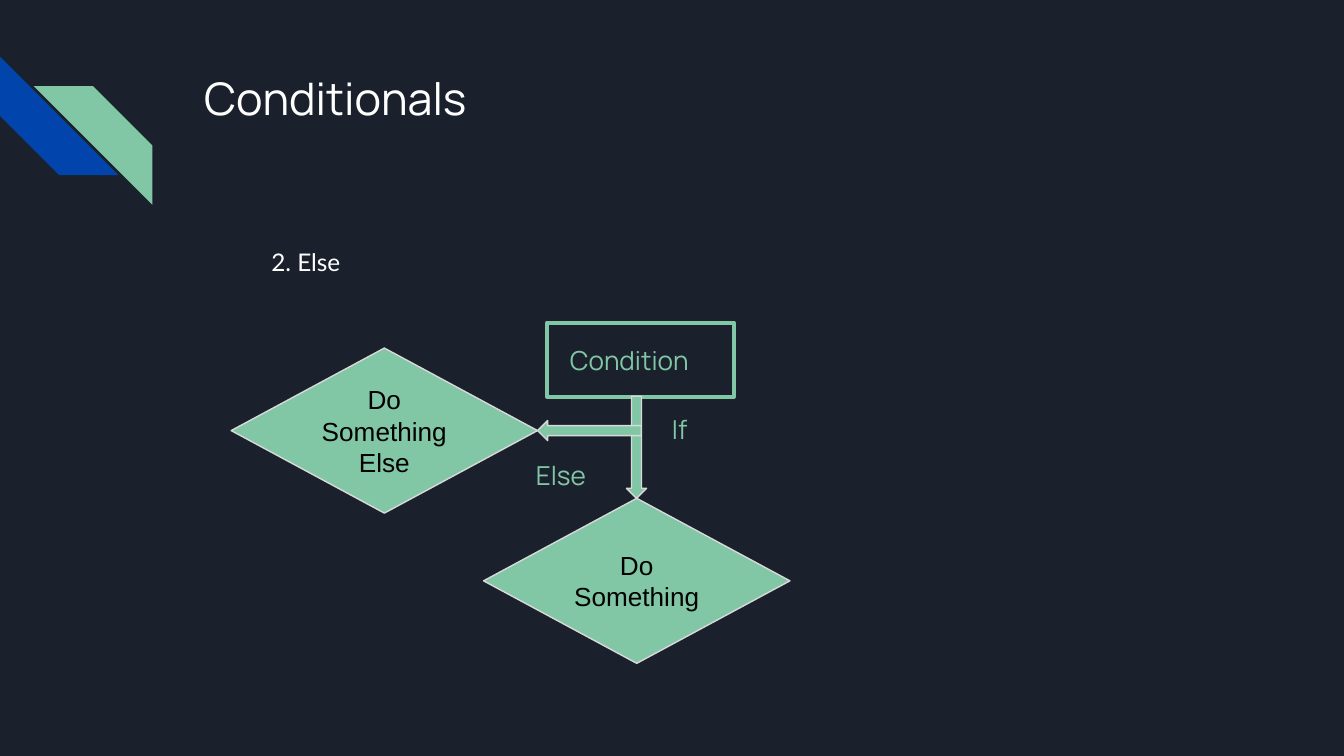
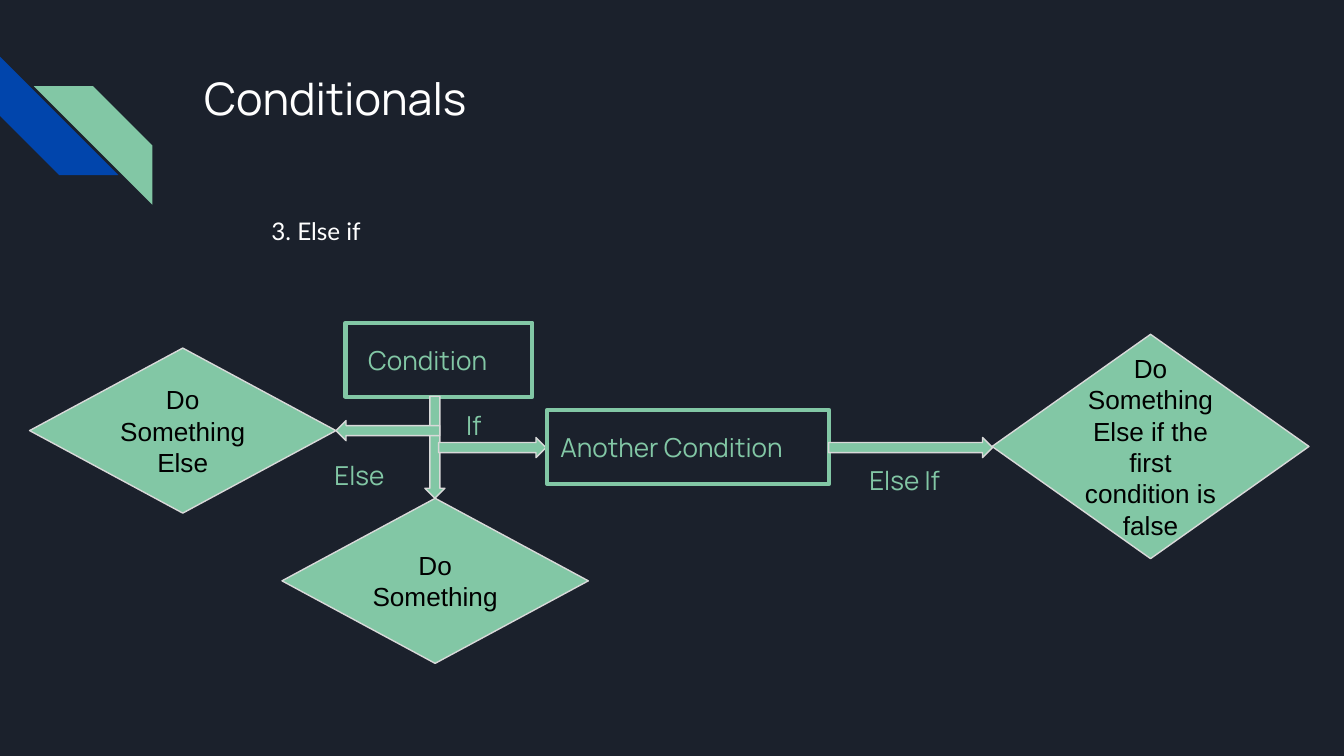
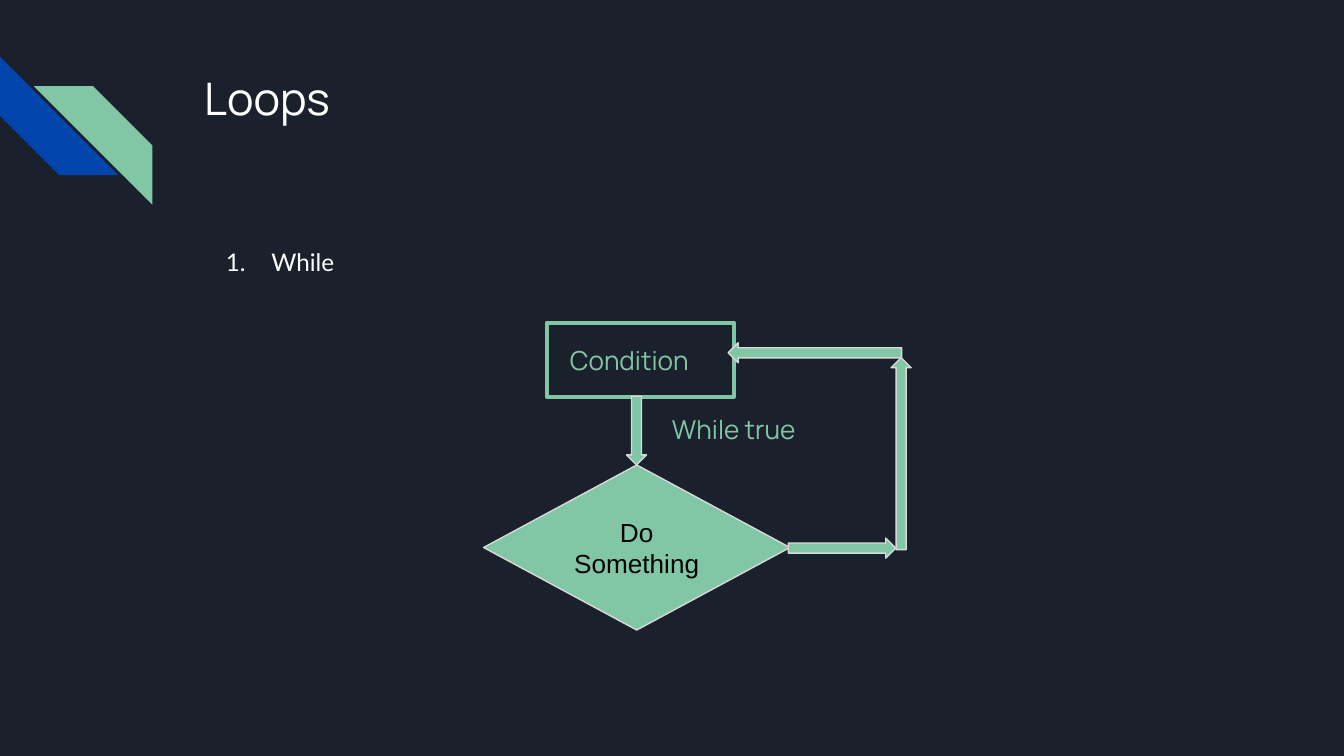
from dataclasses import dataclass

from lxml.etree import SubElement
from pptx import Presentation
from pptx.dml.color import RGBColor
from pptx.enum.shapes import MSO_SHAPE
from pptx.enum.text import MSO_ANCHOR, MSO_AUTO_SIZE, PP_ALIGN
from pptx.oxml.ns import qn
from pptx.util import Cm, Pt

NAVY = RGBColor(0x1B, 0x21, 0x2C)
BLUE = RGBColor(0x01, 0x45, 0xAC)
GREEN = RGBColor(0x82, 0xC7, 0xA5)
SILVER = RGBColor(0xD9, 0xD9, 0xD9)
WHITE = RGBColor(0xFF, 0xFF, 0xFF)
BLACK = RGBColor(0, 0, 0)

HEADING_FONT, BODY_FONT, STEP_FONT = "Manrope", "Lato", "Arial"
INSET = Cm(0.25)
ARROW_WIDTH = 0.38
STRIPE_SIDE = 2.24
BOX_HEIGHT = 1.4
LABEL_HEIGHT = 1.12
CONTENT_LEFT, CONTENT_WIDTH = 3.61, 19.56
BRANCH_SHIFT = 3.81
TURN = {"down": 0, "left": 90, "up": 180, "right": 270}
HEADING_STEP = {"down": (0, 1), "left": (-1, 0), "up": (0, -1), "right": (1, 0)}


@dataclass(frozen=True)
class Condition:
    """A framed test; the position is its top left corner."""
    text: str
    left: float
    top: float
    width: float = 3.53
    indent: float = 0.0


@dataclass(frozen=True)
class Step:
    """A diamond holding an action."""
    text: str
    left: float
    top: float
    width: float = 5.79
    height: float = 3.12


@dataclass(frozen=True)
class Label:
    """The name of a branch."""
    text: str
    left: float
    top: float
    width: float


@dataclass(frozen=True)
class Arrow:
    """A block arrow that leaves a point in one direction."""
    x: float
    y: float
    direction: str
    length: float


@dataclass(frozen=True)
class Topic:
    """The content of one slide."""
    title: str
    subject: str
    subject_top: float
    flow: tuple
    numbered: bool = False


def write(shape, text, *, font, size, color, align=PP_ALIGN.LEFT,
          anchor=MSO_ANCHOR.TOP, fit=False, spacing=None, after=None,
          margin=0.0, indent=0.0, numbered=False):
    """Put one formatted paragraph into a shape."""
    frame = shape.text_frame
    frame.word_wrap = True
    frame.auto_size = MSO_AUTO_SIZE.SHAPE_TO_FIT_TEXT if fit else MSO_AUTO_SIZE.NONE
    frame.vertical_anchor = anchor
    frame.margin_left = frame.margin_right = INSET
    frame.margin_top = frame.margin_bottom = INSET
    paragraph = frame.paragraphs[0]
    paragraph.alignment = align
    if spacing:
        paragraph.line_spacing = spacing
    if after:
        paragraph.space_after = Pt(after)
    run = paragraph.add_run()
    run.text = text
    run.font.name, run.font.size, run.font.color.rgb = font, Pt(size), color
    properties = paragraph._p.get_or_add_pPr()
    properties.set("marL", str(Cm(margin)))
    properties.set("indent", str(Cm(indent)))
    if numbered:
        tint = SubElement(properties, qn("a:buClr"))
        SubElement(tint, qn("a:srgbClr"), val=str(color))
        SubElement(properties, qn("a:buFont"), typeface=font)
        SubElement(properties, qn("a:buAutoNum"), type="arabicPeriod")


def add_figure(slide, kind, left: float, top: float, width: float, height: float,
               fill: RGBColor, line: RGBColor | None = None, weight: float = 0.75,
               rotation: float = 0):
    """Add a flat preset shape."""
    figure = slide.shapes.add_shape(kind, Cm(left), Cm(top), Cm(width), Cm(height))
    figure.shadow.inherit = False
    figure.fill.solid()
    figure.fill.fore_color.rgb = fill
    if line is None:
        figure.line.fill.background()
    else:
        figure.line.color.rgb = line
        figure.line.width = Pt(weight)
    figure.rotation = rotation
    return figure


def add_text(slide, text: str, left: float, top: float, width: float,
             height: float, **style) -> None:
    """Add a text box."""
    box = slide.shapes.add_textbox(Cm(left), Cm(top), Cm(width), Cm(height))
    write(box, text, **style)


def draw_condition(slide, item: Condition) -> None:
    """Draw a framed condition."""
    frame = add_figure(slide, MSO_SHAPE.RECTANGLE, item.left, item.top, item.width,
                       BOX_HEIGHT, NAVY, GREEN, 2.25)
    write(frame, item.text, font=HEADING_FONT, size=14, color=GREEN,
          anchor=MSO_ANCHOR.MIDDLE, margin=item.indent)


def draw_step(slide, item: Step) -> None:
    """Draw an action diamond."""
    diamond = add_figure(slide, MSO_SHAPE.DIAMOND, item.left, item.top, item.width,
                         item.height, GREEN, SILVER)
    write(diamond, item.text, font=STEP_FONT, size=14, color=BLACK,
          align=PP_ALIGN.CENTER, anchor=MSO_ANCHOR.MIDDLE)


def draw_label(slide, item: Label) -> None:
    """Draw a branch name."""
    add_text(slide, item.text, item.left, item.top, item.width, LABEL_HEIGHT,
             font=HEADING_FONT, size=14, color=GREEN, fit=True)


def draw_arrow(slide, item: Arrow) -> None:
    """Draw a block arrow turned about its middle."""
    across, down = HEADING_STEP[item.direction]
    middle_x = item.x + across * item.length / 2
    middle_y = item.y + down * item.length / 2
    add_figure(slide, MSO_SHAPE.DOWN_ARROW, middle_x - ARROW_WIDTH / 2,
               middle_y - item.length / 2, ARROW_WIDTH, item.length, GREEN, SILVER,
               rotation=TURN[item.direction])


DRAW = {Condition: draw_condition, Step: draw_step, Label: draw_label, Arrow: draw_arrow}


def start_flow(shift: float, drop: float, branch: Label) -> tuple:
    """Give the condition that leads down to its action."""
    return (
        Condition("Condition", 10.34 - shift, 6.1, indent=0.18),
        Arrow(12.03 - shift, 7.49, "down", drop),
        branch,
        Step("Do Something", 9.14 - shift, 7.49 + drop),
    )


def else_flow(shift: float) -> tuple:
    """Give the branch that leads left to the other action."""
    return (
        Arrow(12.12 - shift, 8.14, "left", 1.96),
        Label("Else", 9.88 - shift, 8.43, 1.52),
        Step("Do Something Else", 4.37 - shift, 6.58),
    )


ELSE_IF_FLOW = (
    Arrow(8.29, 8.46, "right", 2.03),
    Label("Else If", 16.18, 8.53, 2.03),
    Step("Do Something Else if the first condition is false", 18.75, 6.32, 5.99, 4.24),
    Condition("Another Condition", 10.34, 7.75, 5.33),
    Arrow(15.66, 8.46, "right", 3.1),
)
RETURN_FLOW = (
    Arrow(14.9, 10.36, "right", 2.03),
    Arrow(17.03, 10.39, "up", 3.63),
    Arrow(17.04, 6.67, "left", 3.28),
)
TOPICS = (
    Topic("Conditionals", "2. Else", 4.34,
          start_flow(0, 1.93, Label("If", 12.45, 7.57, 0.84)) + else_flow(0)),
    Topic("Conditionals", "3. Else if", 3.76,
          start_flow(BRANCH_SHIFT, 1.93, Label("If", 8.56, 7.49, 0.84))
          + else_flow(BRANCH_SHIFT) + ELSE_IF_FLOW),
    Topic("Loops", "While", 4.34,
          start_flow(0, 1.3, Label("While true", 12.45, 7.57, 3.05)) + RETURN_FLOW,
          numbered=True),
)


def draw_stripes(slide) -> None:
    """Draw the two corner stripes."""
    for left, top, color, rotation in ((0, 1.07, BLUE, 270), (0.64, 1.63, GREEN, 90)):
        add_figure(slide, MSO_SHAPE.DIAGONAL_STRIPE, left, top, STRIPE_SIDE,
                   STRIPE_SIDE, color, rotation=rotation)


def draw_topic(slide, topic: Topic) -> None:
    """Draw a whole slide."""
    draw_stripes(slide)
    add_text(slide, topic.title, CONTENT_LEFT, 1.09, CONTENT_WIDTH, 2.54,
             font=HEADING_FONT, size=24, color=WHITE)
    if topic.numbered:
        layout = dict(margin=1.27, indent=-0.86, numbered=True)
    else:
        layout = dict(indent=1.27, after=12)
    add_text(slide, topic.subject, CONTENT_LEFT, topic.subject_top, CONTENT_WIDTH, 8.08,
             font=BODY_FONT, size=13, color=WHITE, spacing=1.15, **layout)
    for item in topic.flow:
        DRAW[type(item)](slide, item)


def main() -> None:
    """Build and save the presentation."""
    deck = Presentation()
    deck.slide_width, deck.slide_height = Cm(25.4), Cm(14.29)
    backdrop = deck.slide_master.background.fill
    backdrop.solid()
    backdrop.fore_color.rgb = NAVY
    for topic in TOPICS:
        draw_topic(deck.slides.add_slide(deck.slide_layouts[6]), topic)
    deck.save("out.pptx")


if __name__ == "__main__":
    main()
